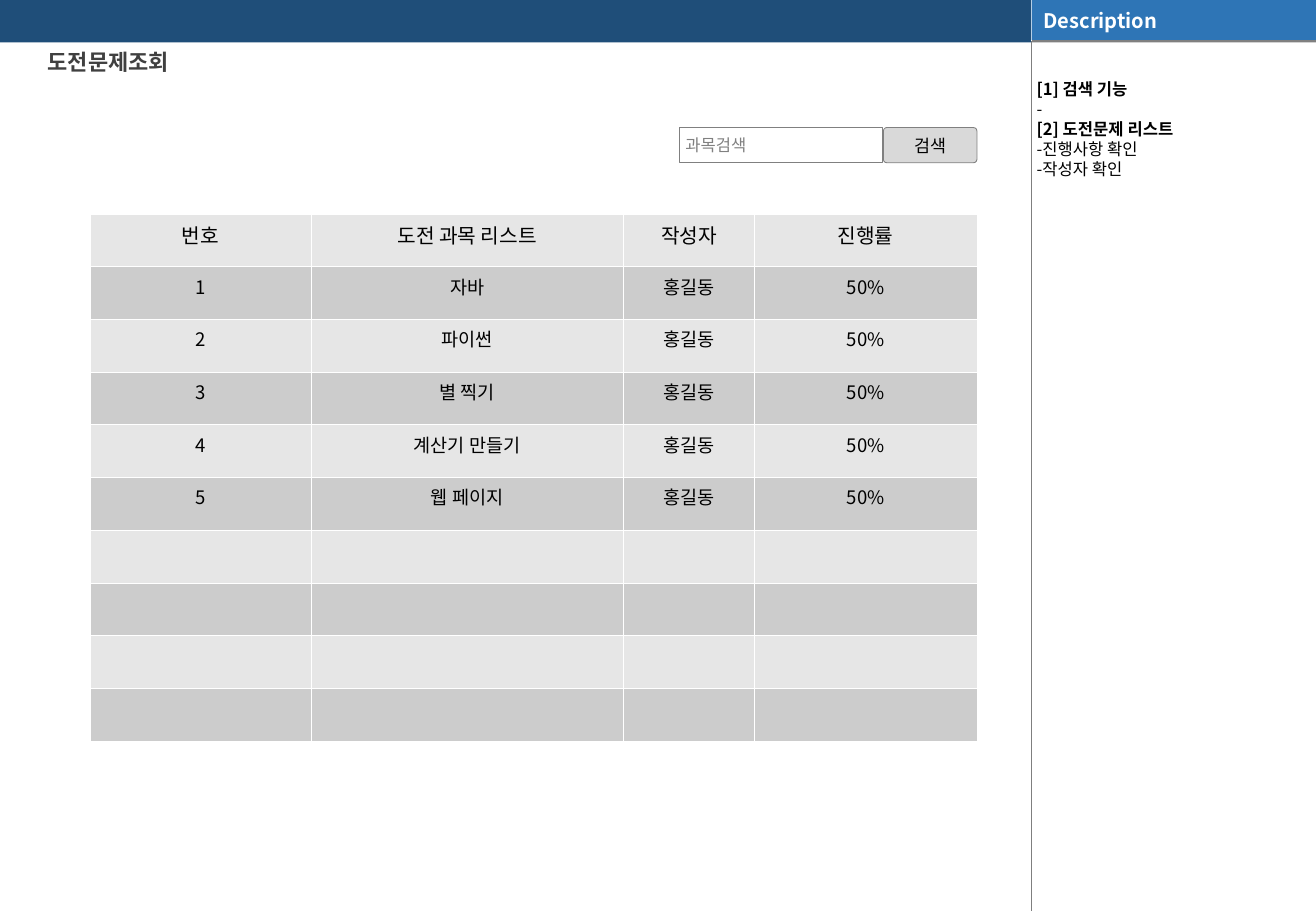
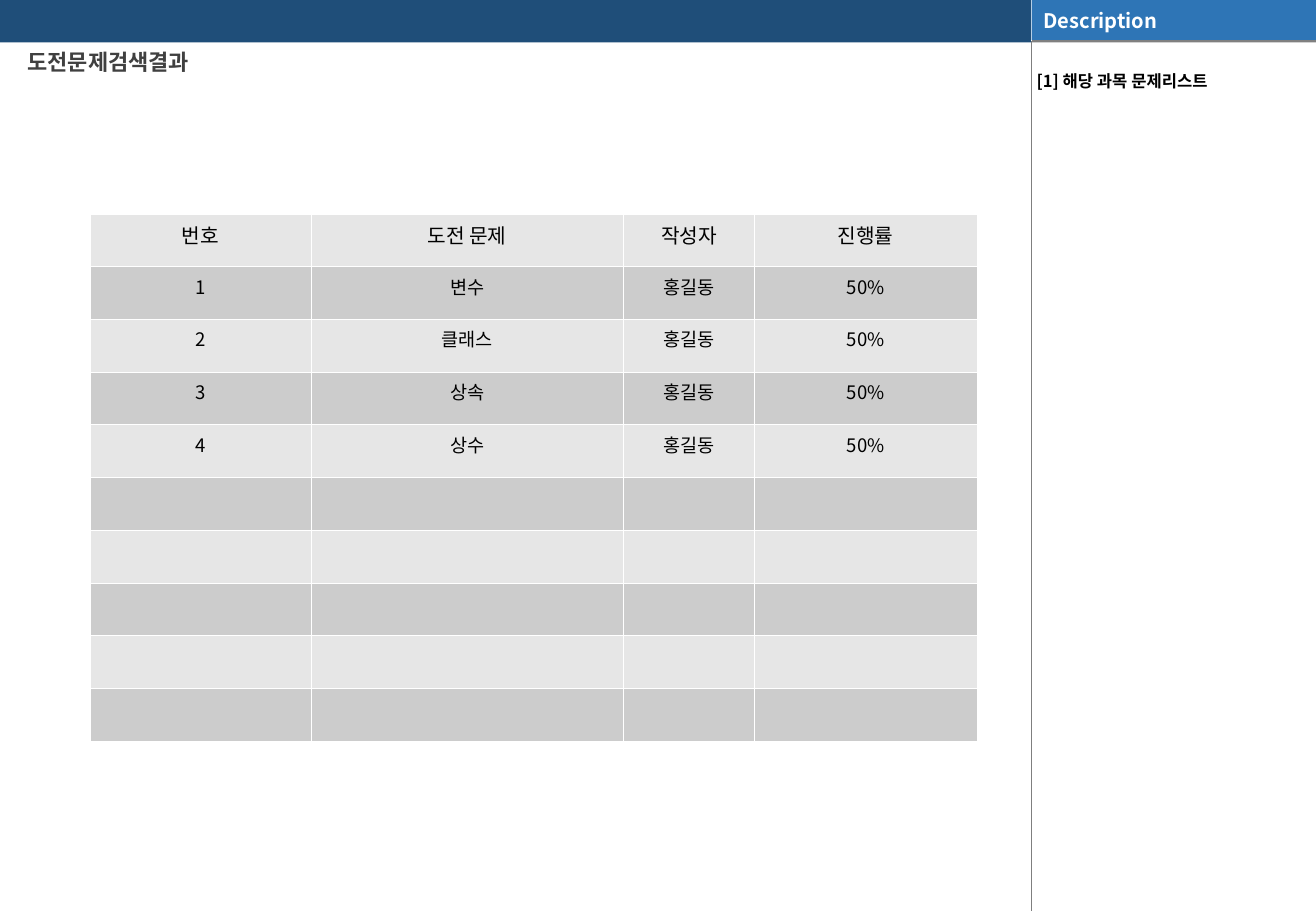
import lxml.etree
import pptx
import pptx.dml.color
import pptx.enum.shapes
import pptx.enum.text
import pptx.oxml.ns
import pptx.util

Inches, Pt = pptx.util.Inches, pptx.util.Pt
RGBColor = pptx.dml.color.RGBColor
SHAPES = pptx.enum.shapes.MSO_SHAPE
ALIGN = pptx.enum.text.PP_ALIGN
ANCHOR = pptx.enum.text.MSO_ANCHOR
qn = pptx.oxml.ns.qn

# Shared style
FONT = "Noto Sans CJK KR"
NAVY = RGBColor(0x1F, 0x4E, 0x79)
BLUE = RGBColor(0x2E, 0x75, 0xB6)
GRAY = RGBColor(0x80, 0x80, 0x80)
RULE_GRAY = RGBColor(0x7F, 0x7F, 0x7F)
TITLE_GRAY = RGBColor(0x40, 0x40, 0x40)
BUTTON_GRAY = RGBColor(0xD9, 0xD9, 0xD9)
ROW_FILLS = (RGBColor(0xE6, 0xE6, 0xE6), RGBColor(0xCC, 0xCC, 0xCC))
WHITE = RGBColor(0xFF, 0xFF, 0xFF)
BLACK = RGBColor(0, 0, 0)

PAGE_WIDTH, PAGE_HEIGHT = 10.83, 7.5
SIDE_LEFT, BAND_HEIGHT = 8.49, 0.35
SIDE_WIDTH = PAGE_WIDTH - SIDE_LEFT
TITLE_CENTER = 0.89
COLUMN_WIDTHS = (1.82, 2.57, 1.08, 1.83)
ROW_COUNT, TABLE_HEIGHT = 10, 4.34
AUTHOR, PROGRESS = "홍길동", "50%"

# Content: description lines are (text, bold)
PAGES = [
    {
        "title": "도전문제조회",
        "title_width": 1.28,
        "notes": [("[1] 검색 기능", True), ("-", False),
                  ("[2] 도전문제 리스트", True),
                  ("-진행사항 확인", False), ("-작성자 확인", False)],
        "search": ("과목검색", "검색"),
        "list_heading": "도전 과목 리스트",
        "items": ["자바", "파이썬", "별 찍기", "계산기 만들기", "웹 페이지"],
    },
    {
        "title": "도전문제검색결과",
        "title_width": 1.64,
        "notes": [("[1] 해당 과목 문제리스트", True)],
        "search": None,
        "list_heading": "도전 문제",
        "items": ["변수", "클래스", "상속", "상수"],
    },
]


def style_text(para, size, color, bold=False, align=ALIGN.LEFT):
    para.alignment = align
    for span in para.runs:
        span.font.size = Pt(size)
        span.font.bold = bold
        span.font.color.rgb = color
        span.font.name = FONT
        east_asian = lxml.etree.SubElement(span.font._element, qn("a:ea"))
        east_asian.set("typeface", FONT)


def set_margins(target, left, top, right, bottom):
    target.margin_left, target.margin_top = Inches(left), Inches(top)
    target.margin_right, target.margin_bottom = Inches(right), Inches(bottom)


def add_box(page, left, top, width, height, fill=None, line=None, kind=SHAPES.RECTANGLE):
    box = page.shapes.add_shape(kind, Inches(left), Inches(top), Inches(width), Inches(height))
    box.shadow.inherit = False
    if fill is None:
        box.fill.background()
    else:
        box.fill.solid()
        box.fill.fore_color.rgb = fill
    if line is None:
        box.line.fill.background()
    else:
        box.line.color.rgb = line
        box.line.width = Pt(0.5)
    return box


def label_box(box, text, size, color, side_margin=0.05, **style):
    frame = box.text_frame
    frame.word_wrap = True
    frame.vertical_anchor = ANCHOR.MIDDLE
    set_margins(frame, side_margin, 0.05, side_margin, 0.05)
    frame.text = text
    style_text(frame.paragraphs[0], size, color, **style)


def add_rule(page, top, bottom, color):
    rule = page.shapes.add_connector(
        pptx.enum.shapes.MSO_CONNECTOR.STRAIGHT,
        Inches(SIDE_LEFT), Inches(top), Inches(SIDE_LEFT), Inches(bottom))
    rule.line.color.rgb = color
    rule.line.width = Pt(0.25)
    lxml.etree.SubElement(rule._element.spPr, qn("a:effectLst"))


def add_frame(page):
    add_box(page, 0, 0, SIDE_LEFT, BAND_HEIGHT, NAVY)
    add_box(page, SIDE_LEFT, 0, SIDE_WIDTH, BAND_HEIGHT, GRAY)
    add_rule(page, 0, BAND_HEIGHT, WHITE)
    add_rule(page, 0.34, PAGE_HEIGHT, RULE_GRAY)
    heading = add_box(page, SIDE_LEFT, 0, SIDE_WIDTH, 0.33, BLUE)
    label_box(heading, "Description", 11.9, WHITE, side_margin=0.1, bold=True)
    heading.text_frame.paragraphs[0].space_before = Pt(2.4)


def add_notes(page, notes):
    box = page.shapes.add_textbox(Inches(SIDE_LEFT), Inches(BAND_HEIGHT),
                                  Inches(SIDE_WIDTH), Inches(PAGE_HEIGHT - BAND_HEIGHT))
    frame = box.text_frame
    frame.word_wrap = True
    set_margins(frame, 0.04, 0.3, 0.04, 0)
    frame.text = "\n".join(text for text, bold in notes)
    for para, (text, bold) in zip(frame.paragraphs, notes):
        style_text(para, 9.8, BLACK, bold)
        para.line_spacing = Pt(11.85)


def add_title(page, title, width):
    box = page.shapes.add_textbox(Inches(TITLE_CENTER - width / 2), Inches(BAND_HEIGHT),
                                  Inches(width), Inches(0.32))
    frame = box.text_frame
    frame.word_wrap = False
    frame.auto_size = pptx.enum.text.MSO_AUTO_SIZE.SHAPE_TO_FIT_TEXT
    frame.text = title
    style_text(frame.paragraphs[0], 13, TITLE_GRAY, True, ALIGN.CENTER)
    frame.paragraphs[0].line_spacing = Pt(15.8)


def add_search(page, hint, action):
    field = add_box(page, 5.59, 1.05, 1.67, 0.29, line=GRAY)
    label_box(field, hint, 9.8, GRAY)
    button = add_box(page, 7.27, 1.05, 0.77, 0.29, BUTTON_GRAY, GRAY, SHAPES.ROUNDED_RECTANGLE)
    button.adjustments[0] = 0.1
    label_box(button, action, 10.3, BLACK, align=ALIGN.CENTER)


def add_borders(cell):
    properties = cell._tc.get_or_add_tcPr()
    for side in ("a:lnL", "a:lnR", "a:lnT", "a:lnB"):
        border = lxml.etree.SubElement(properties, qn(side), w=str(Pt(0.06)))
        fill = lxml.etree.SubElement(border, qn("a:solidFill"))
        lxml.etree.SubElement(fill, qn("a:srgbClr"), val=str(WHITE))


def add_list(page, heading, items):
    rows = [("번호", heading, "작성자", "진행률")]
    rows += [(str(number), item, AUTHOR, PROGRESS) for number, item in enumerate(items, 1)]
    rows += [("",) * len(COLUMN_WIDTHS)] * (ROW_COUNT - len(rows))
    table = page.shapes.add_table(ROW_COUNT, len(COLUMN_WIDTHS), Inches(0.74), Inches(1.76),
                                  Inches(sum(COLUMN_WIDTHS)), Inches(TABLE_HEIGHT)).table
    table.first_row = table.horz_banding = False
    for column, width in zip(table.columns, COLUMN_WIDTHS):
        column.width = Inches(width)
    for row_index, row in enumerate(rows):
        for column_index, text in enumerate(row):
            cell = table.cell(row_index, column_index)
            add_borders(cell)
            cell.fill.solid()
            cell.fill.fore_color.rgb = ROW_FILLS[row_index % 2]
            if text:
                cell.text = text
                style_text(cell.text_frame.paragraphs[0], 11 if row_index else 12,
                           BLACK, align=ALIGN.CENTER)
            else:  # keeps the default line height inside the row
                set_margins(cell, 0.1, 0, 0.1, 0)


def main():
    deck = pptx.Presentation()
    deck.slide_width, deck.slide_height = Inches(PAGE_WIDTH), Inches(PAGE_HEIGHT)
    for content in PAGES:
        page = deck.slides.add_slide(deck.slide_layouts[6])
        add_frame(page)
        add_notes(page, content["notes"])
        add_title(page, content["title"], content["title_width"])
        if content["search"]:
            add_search(page, *content["search"])
        add_list(page, content["list_heading"], content["items"])
    deck.save("out.pptx")


if __name__ == "__main__":
    main()
